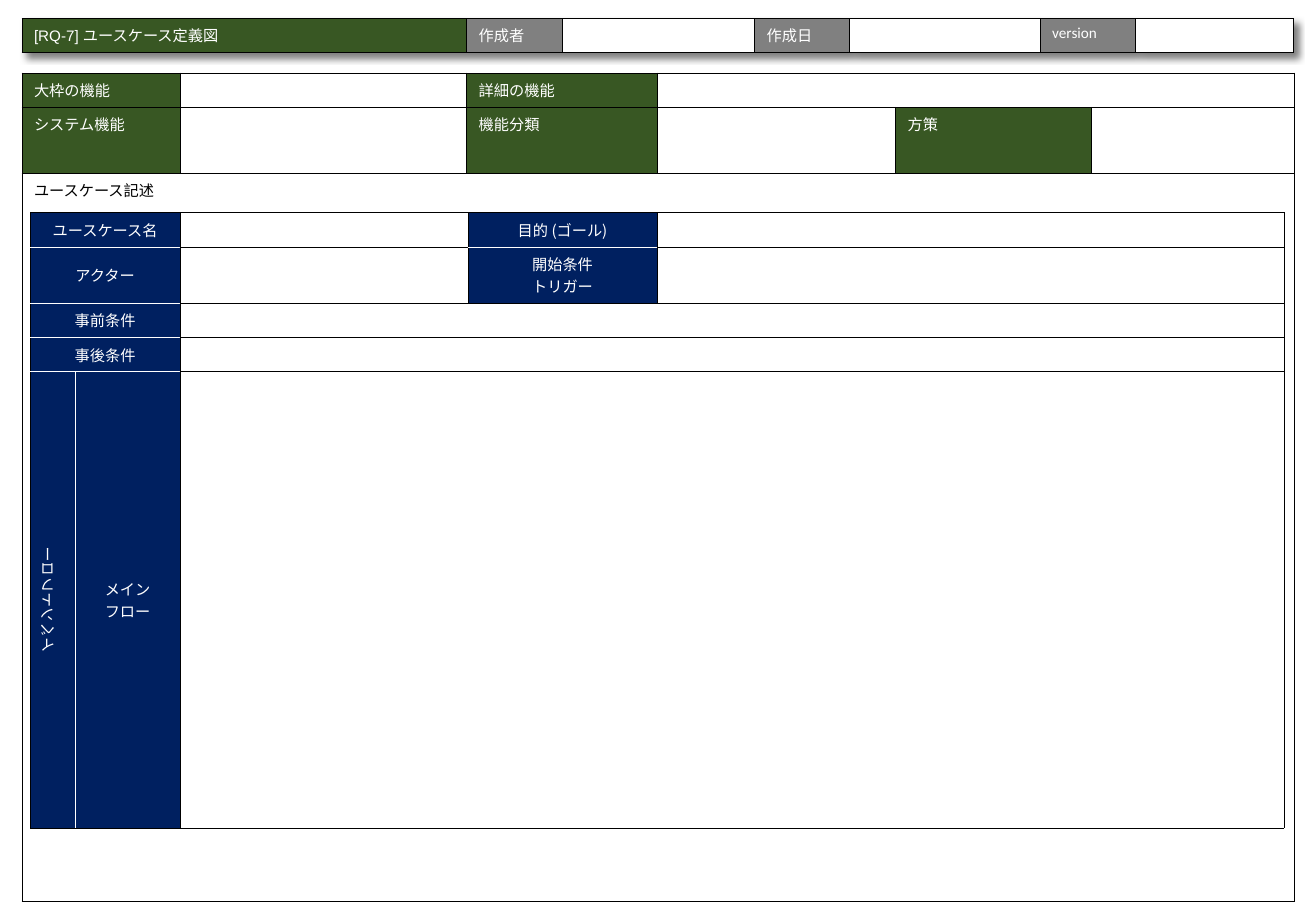
from lxml.etree import SubElement
from pptx import Presentation
from pptx.dml.color import RGBColor
from pptx.enum.text import MSO_ANCHOR, PP_ALIGN
from pptx.oxml import parse_xml
from pptx.oxml.ns import nsdecls, qn
from pptx.util import Inches, Pt

COLORS = {
    "green": "385723",
    "gray": "808080",
    "navy": "002060",
    "white": "FFFFFF",
    "black": "000000",
}
ASIAN_FONT = "Noto Sans CJK JP"
TEXT_SIZE = Pt(9)
BORDER_WIDTH = Pt(0.25)
LINE_ROW = 0.28
BLANK = ("", "white", 1)

HEADER = {
    "at": (0.18, 0.15),
    "columns": [3.66, 0.79, 1.58, 0.78, 1.57, 0.78, 1.3],
    "rows": [LINE_ROW],
    "font": "Calibri",
    "centered": False,
    "shadow": True,
    "cells": [
        [("[RQ-7] ユースケース定義図", "green", 1), ("作成者", "gray", 1), BLANK,
         ("作成日", "gray", 1), BLANK, ("version", "gray", 1), BLANK],
    ],
}
FUNCTIONS = {
    "at": (0.18, 0.6),
    "columns": [1.3, 2.36, 1.57, 1.96, 1.61, 1.67],
    "rows": [LINE_ROW, 0.54, 6],
    "font": "Calibri",
    "centered": False,
    "shadow": False,
    "cells": [
        [("大枠の機能", "green", 1), BLANK, ("詳細の機能", "green", 1), ("", "white", 3)],
        [("システム機能", "green", 1), BLANK, ("機能分類", "green", 1), BLANK,
         ("方策", "green", 1), BLANK],
        [("ユースケース記述", "white", 6)],
    ],
}
USE_CASE = {
    "at": (0.25, 1.75),
    "columns": [0.37, 0.86, 2.37, 1.56, 5.16],
    "rows": [LINE_ROW, 0.46, LINE_ROW, LINE_ROW, 3.76],
    "font": ASIAN_FONT,
    "centered": True,
    "shadow": False,
    "cells": [
        [("ユースケース名", "navy", 2), BLANK, ("目的 (ゴール)", "navy", 1), BLANK],
        [("アクター", "navy", 2), BLANK, ("開始条件\nトリガー", "navy", 1), BLANK],
        [("事前条件", "navy", 2), ("", "white", 3)],
        [("事後条件", "navy", 2), ("", "white", 3)],
        [("イベントフロー", "navy", 1), ("メイン\nフロー", "navy", 1), ("", "white", 3)],
    ],
}
CELL_FONTS = {"[RQ-7] ユースケース定義図": "Arial"}
VERTICAL_LABEL = "イベントフロー"


def add_text(cell, text, fill, font_name, centered):
    frame = cell.text_frame
    for index, line in enumerate(text.split("\n")):
        paragraph = frame.add_paragraph() if index else frame.paragraphs[0]
        if not line:
            SubElement(paragraph._p, qn("a:endParaRPr"), sz=str(int(TEXT_SIZE.pt * 100)))
            continue
        if centered:
            paragraph.alignment = PP_ALIGN.CENTER
        run = paragraph.add_run()
        run.text = line
        run.font.size = TEXT_SIZE
        run.font.color.rgb = RGBColor.from_string(COLORS["black" if fill == "white" else "white"])
        run.font.name = font_name
        SubElement(run.font._element, qn("a:ea"), typeface=ASIAN_FONT)


def add_borders(cell, edges):
    properties = cell._tc.get_or_add_tcPr()
    for index, (side, color) in enumerate(edges):
        properties.insert(index, parse_xml(
            f'<a:ln{side} {nsdecls("a")} w="{BORDER_WIDTH}"><a:solidFill>'
            f'<a:srgbClr val="{COLORS[color]}"/></a:solidFill></a:ln{side}>'))


def edge_color(fills, fill, row, column):
    return "white" if fill == "navy" == fills.get((row, column)) else "black"


def add_shadow(table):
    table._tbl.tblPr.insert(0, parse_xml(
        f'<a:effectLst {nsdecls("a")}><a:outerShdw blurRad="50800" dist="50800" '
        'dir="2700000" algn="tl" rotWithShape="0"><a:srgbClr val="000000">'
        '<a:alpha val="50000"/></a:srgbClr></a:outerShdw></a:effectLst>'))


def add_form_table(slide, form):
    columns, rows = form["columns"], form["rows"]
    left, top = form["at"]
    table = slide.shapes.add_table(
        len(rows), len(columns), Inches(left), Inches(top),
        Inches(sum(columns)), Inches(sum(rows))).table
    table.first_row = table.horz_banding = False
    for column, width in zip(table.columns, columns):
        column.width = Inches(width)
    for row, height in zip(table.rows, rows):
        row.height = Inches(height)

    placed, fills = [], {}
    for row, entries in enumerate(form["cells"]):
        start = 0
        for text, fill, span in entries:
            placed.append((row, start, text, fill, span))
            fills.update({(row, start + step): fill for step in range(span)})
            start += span

    for row, start, text, fill, span in placed:
        last = start + span - 1
        origin = table.cell(row, start)
        if span > 1:
            origin.merge(table.cell(row, last))
        for column in range(start, last + 1):
            cell = table.cell(row, column)
            first = column == start
            cell.fill.solid()
            cell.fill.fore_color.rgb = RGBColor.from_string(COLORS[fill])
            add_text(cell, text if first else "", fill,
                     CELL_FONTS.get(text, form["font"]), form["centered"])
            edges = []
            if first:
                edges.append(("L", edge_color(fills, fill, row, start - 1)))
            if first or column == last:
                edges.append(("R", edge_color(fills, fill, row, last + 1)))
            edges.append(("T", edge_color(fills, fill, row - 1, column)))
            edges.append(("B", edge_color(fills, fill, row + 1, column)))
            add_borders(cell, edges)
        if form["centered"]:
            origin.vertical_anchor = MSO_ANCHOR.MIDDLE
        if text == VERTICAL_LABEL:
            origin._tc.get_or_add_tcPr().set("vert", "vert270")
    if form["shadow"]:
        add_shadow(table)


def main():
    presentation = Presentation()
    presentation.slide_width = Inches(10.83)
    presentation.slide_height = Inches(7.5)
    slide = presentation.slides.add_slide(presentation.slide_layouts[6])
    for form in (HEADER, FUNCTIONS, USE_CASE):
        add_form_table(slide, form)
    presentation.save("out.pptx")


if __name__ == "__main__":
    main()
